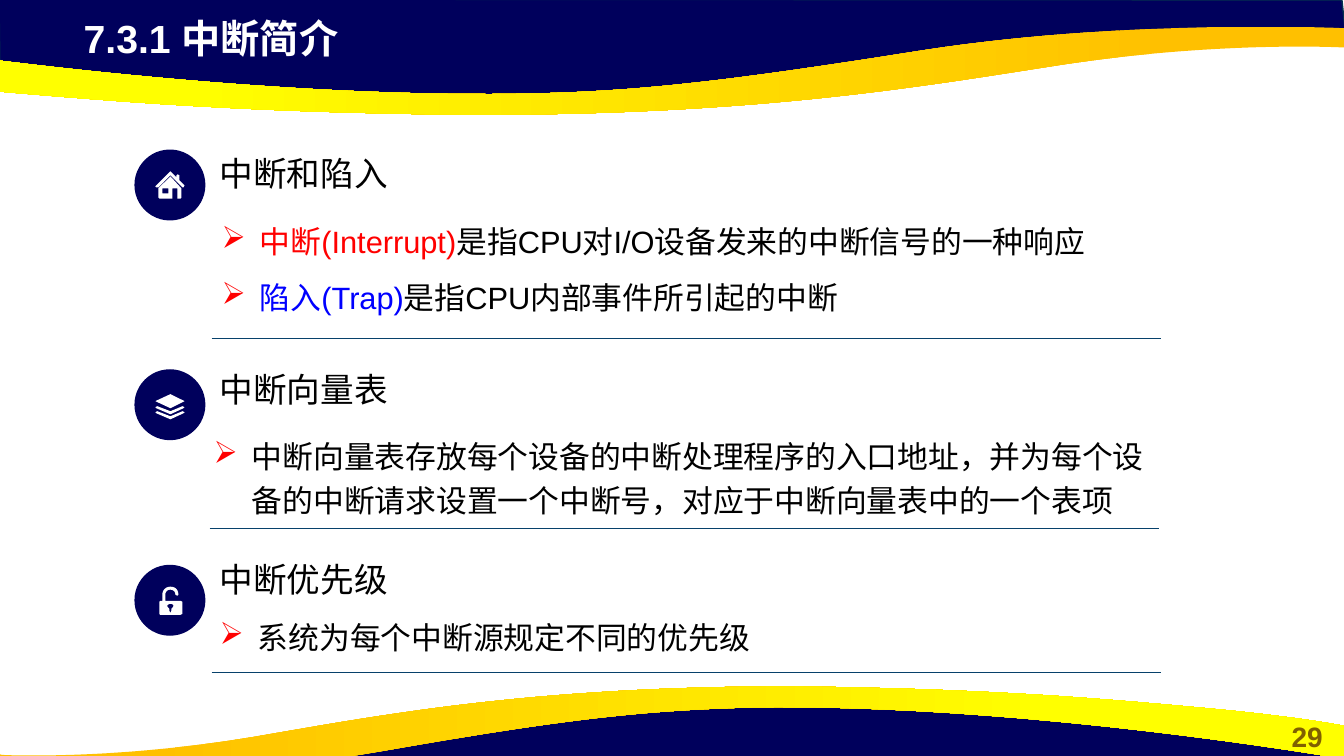
from dataclasses import dataclass
from typing import Any

from pptx import Presentation
from pptx import util as u
from pptx.dml import color
from pptx.enum import shapes, text
from pptx.oxml import xmlchemy as xml

NAVY, WHITE, BLACK, RED, BLUE = "00005C", "FFFFFF", "000000", "FF0000", "0000FF"
GOLD, YELLOW, RULE, EDGE, PAGE = "FFC000", "FFFF00", "07416B", "05304F", "806000"
Contour = list[tuple[float, ...]]
Run = tuple[str, str]


@dataclass
class Wave:
    outline: Contour
    gradient_angle: int | None = None


@dataclass
class Section:
    heading: str
    heading_top: float
    circle_top: float
    icon: list[Contour]
    items: list[list[Run]]
    items_box: tuple[float, float, float, float]
    rule_left: float
    rule_top: float


WAVES = [
    Wave([(-0.01, -0.01), (0, 0.7), (2.93, 1.02), (5.59, 1), (7.95, 0.88),
          (10.16, 0.5), (12.38, 0.33), (13.35, 0.38), (13.31, 0)]),
    Wave([(4.83, 1.14), (4.43, 1.14, 4.01, 1.13, 3.56, 1.12),
          (2.06, 1.08, 1.1, 1, 0.36, 0.94), (-0.88, 0.84, -1.3, 0.75, -1.33, 0.75),
          (-1.33, 0.42), (-1.33, 0.42, 2.18, 0.98, 5.17, 0.93),
          (6.26, 0.91, 7.08, 0.83, 9.15, 0.5), (11.21, 0.18, 13.33, 0.28, 13.33, 0.28),
          (13.33, 0.47), (13.3, 0.47), (13.05, 0.46, 11.95, 0.43, 10.55, 0.64),
          (9.18, 0.85, 7.62, 1.13, 4.83, 1.14)], 180),
    Wave([(13.33, 7.94), (13.32, 7.24), (10.4, 6.91), (7.73, 6.93), (5.38, 7.06),
          (3.17, 7.43), (0.95, 7.6), (-0.03, 7.56), (0.01, 7.93)]),
    Wave([(7.72, 6.81), (8.09, 6.81, 8.47, 6.82, 8.88, 6.83),
          (10.25, 6.87, 11.12, 6.95, 11.79, 7.01), (12.92, 7.11, 13.3, 7.2, 13.33, 7.2),
          (13.33, 7.53), (13.33, 7.53, 10.14, 6.97, 7.42, 7.02),
          (6.42, 7.05, 5.67, 7.12, 3.8, 7.45), (1.92, 7.78, -0.01, 7.68, -0.01, 7.68),
          (-0.01, 7.48), (0.02, 7.49), (0.25, 7.5, 1.25, 7.52, 2.52, 7.31),
          (3.76, 7.1, 5.19, 6.82, 7.72, 6.81)], 0),
]

HOUSE = [
    [(1.69, 1.7), (1.75, 1.76), (1.75, 1.74), (1.76, 1.73), (1.78, 1.74), (1.78, 1.79),
     (1.83, 1.84), (1.82, 1.86), (1.81, 1.86), (1.69, 1.74), (1.57, 1.86), (1.55, 1.86),
     (1.54, 1.85)],
    [(1.69, 1.75), (1.8, 1.87), (1.8, 1.96), (1.79, 1.97), (1.76, 1.97), (1.76, 1.87),
     (1.71, 1.87), (1.71, 1.97), (1.58, 1.97), (1.57, 1.96), (1.57, 1.87)],
    [(1.67, 1.87), (1.61, 1.87), (1.61, 1.92), (1.67, 1.92)],
]
LAYERS = [[(1.54, 3.98), (1.69, 3.91), (1.83, 3.98), (1.69, 4.05)]] + [
    [(x, y + drop) for x, y in [(1.54, 4.04), (1.56, 4.03), (1.69, 4.08), (1.81, 4.03),
                                (1.83, 4.04), (1.82, 4.05), (1.69, 4.11), (1.55, 4.05)]]
    for drop in (0, 0.05)
]
PADLOCK = [
    [(1.59, 6.1), (1.58, 6.09), (1.58, 5.97), (1.59, 5.96), (1.61, 5.96), (1.61, 5.9),
     (1.61, 5.85, 1.65, 5.82, 1.69, 5.82), (1.74, 5.82, 1.77, 5.85, 1.77, 5.9),
     (1.76, 5.91), (1.74, 5.9), (1.74, 5.87, 1.72, 5.85, 1.69, 5.85),
     (1.66, 5.85, 1.64, 5.87, 1.64, 5.9), (1.64, 5.96), (1.79, 5.96), (1.81, 5.97),
     (1.81, 6.09), (1.79, 6.1)],
    [(1.69, 5.99), (1.68, 5.99, 1.66, 6, 1.66, 6.01), (1.66, 6.02, 1.67, 6.03, 1.68, 6.04),
     (1.68, 6.06), (1.69, 6.08), (1.7, 6.06), (1.7, 6.04),
     (1.71, 6.03, 1.72, 6.02, 1.72, 6.01), (1.72, 6, 1.71, 5.99, 1.69, 5.99)],
]

SECTIONS = [
    Section("中断和陷入", 1.5, 1.49, HOUSE,
            [[("中断(Interrupt)", RED), ("是指CPU对I/O设备发来的中断信号的一种响应", BLACK)],
             [("陷入(Trap)", BLUE), ("是指CPU内部事件所引起的中断", BLACK)]],
            (2.1, 2.09, 9.4, 1.28), 2.1, 3.36),
    Section("中断向量表", 3.64, 3.67, LAYERS,
            [[("中断向量表存放每个设备的中断处理程序的入口地址，并为每个设备的中断请求"
               "设置一个中断号，对应于中断向量表中的一个表项", BLACK)]],
            (2.02, 4.22, 9.72, 0.5), 2.08, 5.24),
    Section("中断优先级", 5.52, 5.61, PADLOCK,
            [[("系统为每个中断源规定不同的优先级", BLACK)]],
            (2.08, 6.02, 9.72, 0.5), 2.1, 6.67),
]


def rgb(value: str) -> color.RGBColor:
    return color.RGBColor.from_string(value)


def flatten(contour: Contour, steps: int) -> list[tuple[int, int]]:
    points: Contour = []
    for segment in contour:
        if len(segment) == 2:
            points.append(segment)
            continue
        curve = [points[-1], segment[:2], segment[2:4], segment[4:]]
        for step in range(1, steps + 1):
            t = step / steps
            weights = ((1 - t) ** 3, 3 * t * (1 - t) ** 2, 3 * t * t * (1 - t), t ** 3)
            points.append(tuple(sum(w * p[axis] for w, p in zip(weights, curve))
                                for axis in (0, 1)))
    return [(u.Inches(x), u.Inches(y)) for x, y in points]


def draw_outline(slide: Any, contours: list[Contour], fill: str, steps: int) -> Any:
    outlines = [flatten(contour, steps) for contour in contours]
    builder = slide.shapes.build_freeform(*outlines[0][0])
    for index, points in enumerate(outlines):
        if index:
            builder.move_to(*points[0])
        builder.add_line_segments(points[1:], close=True)
    outline = builder.convert_to_shape()
    outline.shadow.inherit = False
    outline.fill.solid()
    outline.fill.fore_color.rgb = rgb(fill)
    outline.line.fill.background()
    return outline


def draw_wave(slide: Any, wave: Wave) -> None:
    band = draw_outline(slide, [wave.outline], NAVY, 30)
    if wave.gradient_angle is None:
        band.line.color.rgb = rgb(EDGE)
        band.line.width = u.Pt(1)
        return
    band.fill.gradient()
    band.fill.gradient_angle = wave.gradient_angle
    for stop, position, shade in zip(band.fill.gradient_stops, (0.11, 0.78), (GOLD, YELLOW)):
        stop.position = position
        stop.color.rgb = rgb(shade)


def write_run(paragraph: Any, wording: str, shade: str, size: int, bold: bool = False) -> None:
    run = paragraph.add_run()
    run.text = wording
    for name, value in {"name": "Arial", "size": u.Pt(size), "bold": bold}.items():
        setattr(run.font, name, value)
    run.font.color.rgb = rgb(shade)


def add_text(slide: Any, *box: float) -> Any:
    frame = slide.shapes.add_textbox(*map(u.Inches, box)).text_frame
    frame.word_wrap = True
    return frame


def add_bullet(paragraph: Any) -> None:
    properties = paragraph._p.get_or_add_pPr()
    indent = u.Inches(0.38)
    properties.set("marL", str(indent))
    properties.set("indent", str(-indent))
    tint = xml.OxmlElement("a:buClr")
    red = xml.OxmlElement("a:srgbClr")
    red.set("val", RED)
    tint.append(red)
    mark = xml.OxmlElement("a:buChar")
    mark.set("char", "➢")
    properties.extend([tint, mark])


def draw_section(slide: Any, section: Section) -> None:
    heading = add_text(slide, 2.08, section.heading_top, 7.94, 0.44)
    heading.vertical_anchor = text.MSO_ANCHOR.MIDDLE
    write_run(heading.paragraphs[0], section.heading, BLACK, 24)

    items = add_text(slide, *section.items_box)
    for index, item in enumerate(section.items):
        paragraph = items.add_paragraph() if index else items.paragraphs[0]
        add_bullet(paragraph)
        paragraph.line_spacing = 1.2
        if index:
            paragraph.space_before = u.Pt(8)
        for wording, shade in item:
            write_run(paragraph, wording, shade, 22)

    circle = slide.shapes.add_shape(shapes.MSO_SHAPE.OVAL, u.Inches(1.34),
                                    u.Inches(section.circle_top), u.Inches(0.69), u.Inches(0.69))
    circle.shadow.inherit = False
    circle.fill.solid()
    circle.fill.fore_color.rgb = circle.line.color.rgb = rgb(NAVY)
    circle.line.width = u.Pt(1)
    draw_outline(slide, section.icon, WHITE, 6)

    top = u.Inches(section.rule_top)
    rule = slide.shapes.add_connector(shapes.MSO_CONNECTOR.STRAIGHT, u.Inches(section.rule_left),
                                      top, u.Inches(section.rule_left + 9.42), top)
    rule.line.color.rgb = rgb(RULE)
    rule.line.width = u.Pt(0.5)
    rule.element.spPr.append(xml.OxmlElement("a:effectLst"))


def main() -> None:
    deck = Presentation()
    deck.slide_width, deck.slide_height = u.Inches(13.33), u.Inches(7.5)
    slide = deck.slides.add_slide(deck.slide_layouts[5])
    for wave in WAVES:
        draw_wave(slide, wave)

    title = slide.shapes.title
    slide.shapes.element.append(title.element)
    places = {"left": 0.73, "top": 0.09, "width": 7.68, "height": 0.57}
    for side, length in places.items():
        setattr(title, side, u.Inches(length))
    title.text_frame.vertical_anchor = text.MSO_ANCHOR.MIDDLE
    title.text_frame.auto_size = text.MSO_AUTO_SIZE.NONE
    title_line = title.text_frame.paragraphs[0]
    title_line.alignment = text.PP_ALIGN.LEFT
    write_run(title_line, "7.3.1 中断简介", WHITE, 28, True)

    for section in SECTIONS:
        draw_section(slide, section)

    page_number = add_text(slide, 12.6, 7.09, 0.73, 0.44).paragraphs[0]
    page_number.alignment = text.PP_ALIGN.CENTER
    write_run(page_number, "29", PAGE, 20, True)
    deck.save("out.pptx")


if __name__ == "__main__":
    main()
